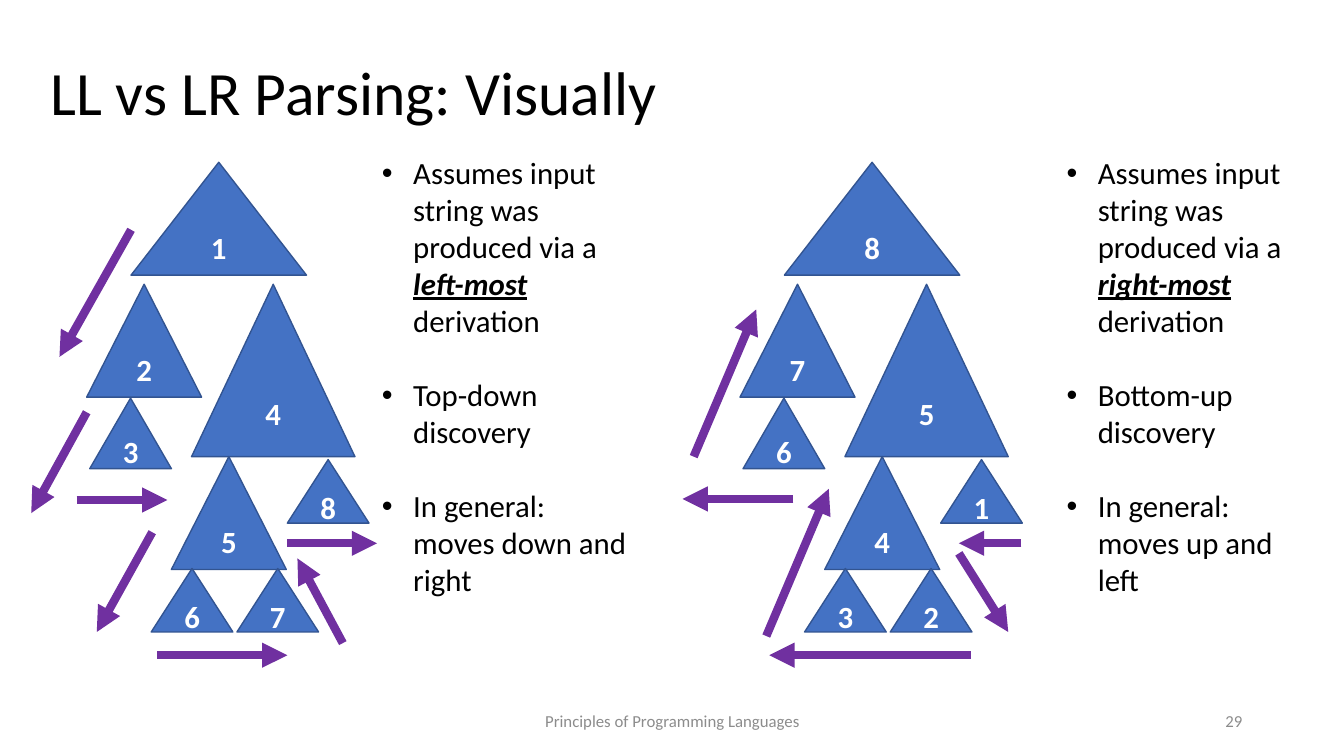
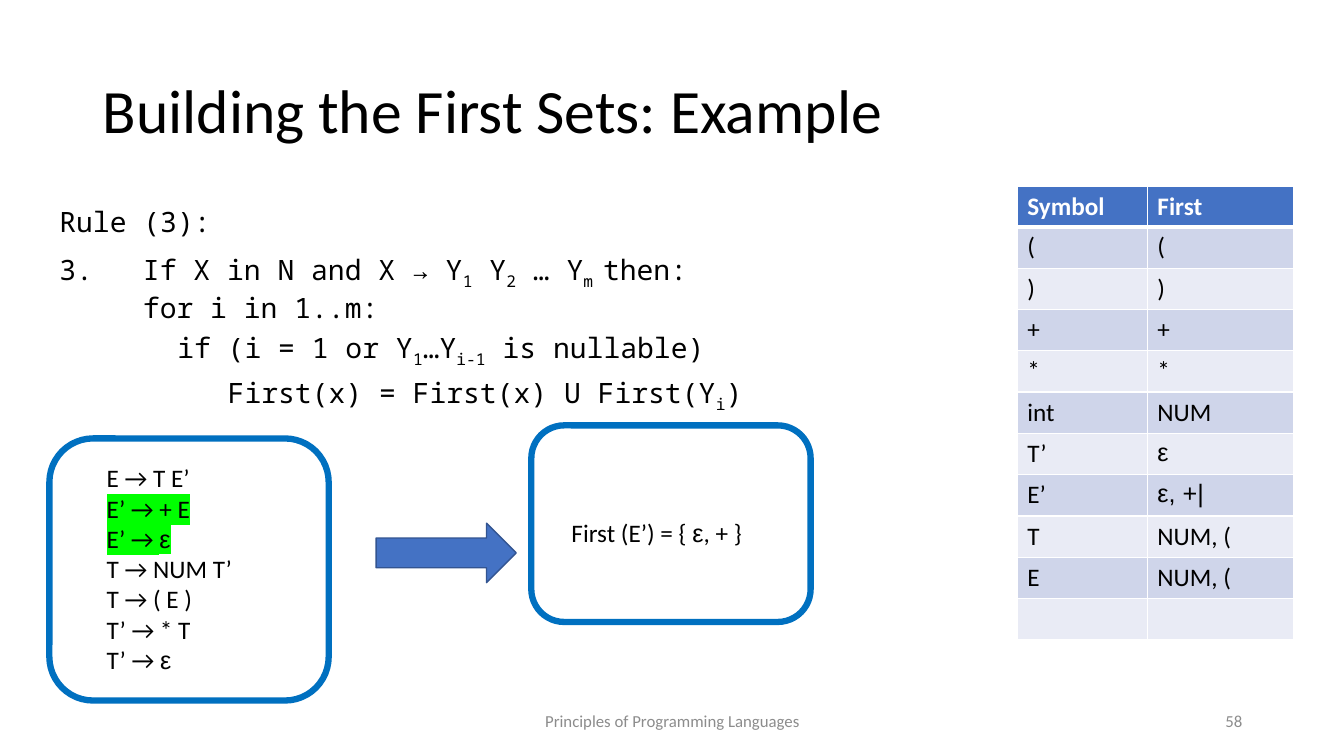
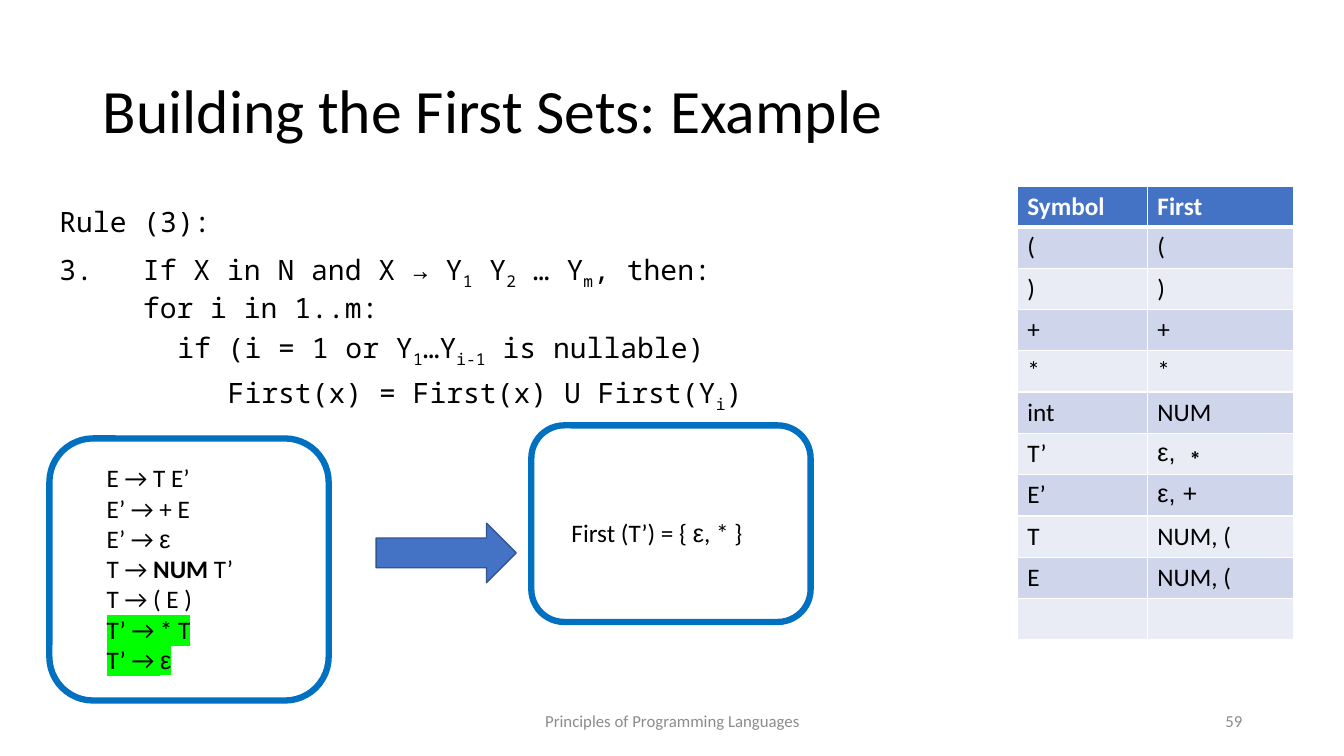
from lxml.etree import SubElement
from pptx import Presentation
from pptx.dml.color import RGBColor
from pptx.enum.shapes import MSO_CONNECTOR, MSO_SHAPE
from pptx.enum.text import MSO_ANCHOR, PP_ALIGN
from pptx.oxml import parse_xml
from pptx.oxml.ns import nsdecls, qn
from pptx.util import Inches, Pt

BLACK, WHITE, GREY = "000000", "FFFFFF", "8C8C8C"
BLUE, DARK_BLUE, FRAME_BLUE = "4472C4", "325491", "0070C0"
PURPLE, GREEN = "7030A0", "00FF00"
BANDS = ("E9EBF5", "CFD5EA")

TITLE = {"name": "Calibri", "size": 44, "color": BLACK}
BULLET = {**TITLE, "size": 22}
NODE = {**BULLET, "color": WHITE, "bold": True}
NORMAL = {**TITLE, "size": 18}
HEADER = {**NORMAL, "color": WHITE, "bold": True}
FOOTER = {**TITLE, "size": 12, "color": GREY}
CODE = {**TITLE, "name": "Noto Sans Mono", "size": 20}
EMPHASIS = {"bold": True, "italic": True, "underline": True}

TREE_BOXES = [
    (1.3, 1.61, 1.74, 1.12), (0.86, 2.82, 1.14, 1.12),
    (0.89, 3.95, 0.81, 0.7), (1.9, 2.82, 1.62, 1.71),
    (1.7, 4.53, 1.14, 1.12), (1.5, 5.64, 0.81, 0.63),
    (2.35, 5.64, 0.81, 0.63), (2.85, 4.56, 0.81, 0.63),
]
TREE_SHIFT = 6.48
LL_ARROWS = [
    (1.3, 2.28, 0.59, 3.54), (0.86, 4.09, 0.31, 5.09),
    (0.76, 4.96, 1.66, 4.96), (1.51, 5.28, 0.96, 6.27),
    (1.56, 6.5, 2.85, 6.5), (3.4, 6.38, 2.95, 5.54),
    (2.85, 5.39, 3.74, 5.39),
]
LR_ARROWS = [
    (10.13, 5.39, 9.51, 5.39), (9.51, 5.49, 10, 6.27),
    (9.63, 6.5, 7.63, 6.5), (7.6, 6.31, 8.22, 4.85),
    (7.87, 4.95, 6.77, 4.95), (6.88, 4.53, 7.5, 3.07),
]
GRAMMAR = ["E → T E’", "E’ → + E", "E’ → ε", "T → NUM T’",
           "T → ( E )", "T’ → * T", "T’ → ε"]


def color(value):
    """Turn a hex string into a colour."""
    return RGBColor.from_string(value)


def add_span(para, text, style):
    """Add a run and set its font from a dict of format values."""
    span = para.add_run()
    span.text = text
    values = dict(style)
    highlight = values.pop("highlight", None)
    baseline = values.pop("baseline", None)
    span.font.color.rgb = color(values.pop("color"))
    values["size"] = Pt(values["size"])
    for name, value in values.items():
        setattr(span.font, name, value)
    properties = span.font._element
    if baseline:
        properties.set("baseline", str(baseline))
    if highlight:
        properties.find(qn("a:solidFill")).addnext(parse_xml(
            f'<a:highlight {nsdecls("a")}><a:srgbClr val="{highlight}"/></a:highlight>'))


def add_para(frame, spans, left=0, first=0, bullet=None, **values):
    """Write a paragraph of (text, style) spans with its indents and bullet."""
    para = frame.paragraphs[0]
    if para.runs:
        para = frame.add_paragraph()
    for name, value in values.items():
        setattr(para, name, value)
    properties = para._p.get_or_add_pPr()
    properties.set("marL", str(Inches(left)))
    properties.set("indent", str(Inches(first)))
    if bullet:
        SubElement(properties, qn("a:buFont")).set("typeface", "Arial")
        SubElement(properties, qn("a:buChar")).set("char", bullet)
    for text, style in spans:
        add_span(para, text, style)


def add_box(slide, place, anchor=MSO_ANCHOR.TOP, wrap=True):
    """Add a text box and return its text frame."""
    frame = slide.shapes.add_textbox(*map(Inches, place)).text_frame
    frame.word_wrap = wrap
    frame.vertical_anchor = anchor
    return frame


def add_figure(slide, kind, place, line, width, fill=None):
    """Add a preset shape with a plain outline and an optional fill."""
    figure = slide.shapes.add_shape(kind, *map(Inches, place))
    figure.shadow.inherit = False
    figure.line.color.rgb = color(line)
    figure.line.width = Pt(width)
    if fill:
        figure.fill.solid()
        figure.fill.fore_color.rgb = color(fill)
    else:
        figure.fill.background()
    return figure


def add_arrow(slide, ends):
    """Add a thick arrow between two points."""
    arrow = slide.shapes.add_connector(MSO_CONNECTOR.STRAIGHT, *map(Inches, ends))
    arrow.line.color.rgb = color(PURPLE)
    arrow.line.width = Pt(6)
    SubElement(arrow.line._get_or_add_ln(), qn("a:tailEnd")).set("type", "triangle")
    SubElement(arrow._element.spPr, qn("a:effectLst"))


def add_page(deck, title, title_place, number):
    """Add a slide with its title, footer and slide number."""
    slide = deck.slides.add_slide(deck.slide_layouts[6])
    parts = [
        (title, title_place, TITLE, PP_ALIGN.LEFT, 0.9),
        ("Principles of Programming Languages", (4.42, 6.95, 4.5, 0.4),
         FOOTER, PP_ALIGN.CENTER, 1.0),
        (str(number), (9.42, 6.95, 3, 0.4), FOOTER, PP_ALIGN.RIGHT, 1.0),
    ]
    for text, place, style, alignment, spacing in parts:
        frame = add_box(slide, place, MSO_ANCHOR.MIDDLE)
        add_para(frame, [(text, style)], alignment=alignment, line_spacing=spacing)
    return slide


def add_tree(slide, shift, labels):
    """Draw the parse tree of triangles with the given visiting order."""
    for (left, *rest), label in zip(TREE_BOXES, labels):
        node = add_figure(slide, MSO_SHAPE.ISOSCELES_TRIANGLE,
                          (left + shift, *rest), DARK_BLUE, 1, BLUE)
        add_para(node.text_frame, [(label, NODE)], alignment=PP_ALIGN.CENTER)


def add_summary(slide, left, side, discovery, moves):
    """Add the bullet list that describes one parsing method."""
    frame = add_box(slide, (left, 1.48, 2.69, 4.54))
    points = [
        [("Assumes input string was produced via a ", BULLET),
         (side, {**BULLET, **EMPHASIS}), (" derivation", BULLET)],
        [(discovery, BULLET)],
        [(f"In general: moves {moves}", BULLET)],
    ]
    for index, spans in enumerate(points):
        add_para(frame, spans, 0.31, -0.31, "•", space_before=Pt(26.5 if index else 0))


def add_rule(slide, condition):
    """Write rule (3), where text between bars is subscript."""
    frame = add_box(slide, (0.49, 2.02, 11.5, 2.33))
    lines = [
        ("Rule (3):", 0, 0, 10),
        (f"3.\t{condition}", 0.83, -0.83, 10),
        ("for i in 1..m:", 0.83, 0, 5),
        ("if (i = 1 or Y|1|…Y|i-1| is nullable)", 1.17, 0, 5),
        ("First(x) = First(x) U First(Y|i|)", 1.67, 0, 7.5),
    ]
    for text, left, first, before in lines:
        spans = [(part, {**CODE, "baseline": -25000 if index % 2 else 0})
                 for index, part in enumerate(text.split("|"))]
        add_para(frame, spans, left, first, line_spacing=0.9, space_before=Pt(before))


def split_spans(text, bold_word, style):
    """Split text into spans, with epsilon in Arial and one word bold."""
    special = {"ε": {"name": "Arial"}, bold_word: {"bold": True}}
    for word, change in special.items():
        if word and word in text:
            before, _, after = text.partition(word)
            pieces = [(before, style), (word, {**style, **change}), (after, style)]
            return [piece for piece in pieces if piece[0]]
    return [(text, style)]


def add_grammar(slide, marked, bold_word):
    """List the grammar in a frame with the marked rules highlighted."""
    add_figure(slide, MSO_SHAPE.ROUNDED_RECTANGLE, (0.49, 4.35, 2.77, 2.6), FRAME_BLUE, 4.5)
    frame = add_box(slide, (0.96, 4.54, 2.15, 2.22))
    for rule in GRAMMAR:
        style = {**NORMAL, "highlight": GREEN} if rule.startswith(marked) else NORMAL
        add_para(frame, split_spans(rule, bold_word, style))


def add_result(slide, text):
    """Point from the grammar to the framed First set."""
    add_figure(slide, MSO_SHAPE.RIGHT_ARROW, (3.73, 5.19, 1.39, 0.59), DARK_BLUE, 1, BLUE)
    add_figure(slide, MSO_SHAPE.ROUNDED_RECTANGLE, (5.27, 4.22, 2.77, 1.95), FRAME_BLUE, 4.5)
    frame = add_box(slide, (5.57, 5.08, 1.93, 0.71), wrap=False)
    add_para(frame, split_spans(text, None, NORMAL))


def set_borders(cell, widths):
    """Draw white cell borders from a dict of side and width."""
    properties = cell._tc.get_or_add_tcPr()
    for index, (side, width) in enumerate(widths.items()):
        properties.insert(index, parse_xml(
            f'<a:ln{side} {nsdecls("a")} w="{Pt(width)}"><a:solidFill>'
            f'<a:srgbClr val="{WHITE}"/></a:solidFill></a:ln{side}>'))


def add_first_table(slide, first_t, first_e):
    """Add the table of symbols and their First sets."""
    rows = [("Symbol", "First"), *((sign, sign) for sign in "()+*"),
            ("int", "NUM"), ("T’", first_t), ("E’", first_e),
            ("T", "NUM, ("), ("E", "NUM, ("), ("", "")]
    place = map(Inches, (10.09, 1.85, 2.74, 4.49))
    table = slide.shapes.add_table(len(rows), 2, *place).table
    for column, width in zip(table.columns, (1.29, 1.45)):
        column.width = Inches(width)
    for row_index, texts in enumerate(rows):
        table.rows[row_index].height = Inches(0.41 if row_index else 0.39)
        for column_index, text in enumerate(texts):
            cell = table.cell(row_index, column_index)
            cell.fill.solid()
            cell.fill.fore_color.rgb = color(BANDS[row_index % 2] if row_index else BLUE)
            set_borders(cell, {"L": 1, "R": 1, "T": 3 if row_index == 1 else 1,
                               "B": 1 if row_index else 3})
            style = NORMAL if row_index else HEADER
            if "ε" in text:
                style = {**style, "name": "Arial"}
            if text:
                add_para(cell.text_frame, [(text, style)])


def add_parsing_page(deck):
    """Compare LL and LR parsing with two trees."""
    slide = add_page(deck, "LL vs LR Parsing: Visually", (0.4, 0.22, 11.5, 1.45), 29)
    add_tree(slide, 0, "12345678")
    add_tree(slide, TREE_SHIFT, "87654321")
    for ends in LL_ARROWS + LR_ARROWS:
        add_arrow(slide, ends)
    add_summary(slide, 3.69, "left-most", "Top-down discovery", "down and right")
    add_summary(slide, 10.48, "right-most", "Bottom-up discovery", "up and left")


def add_first_page(deck, number, condition, marked, bold_word, result, first_t, first_e):
    """Show one step of building the First sets."""
    slide = add_page(deck, "Building the First Sets: Example", (0.92, 0.4, 11.5, 1.45), number)
    add_rule(slide, condition)
    add_grammar(slide, marked, bold_word)
    add_result(slide, result)
    add_first_table(slide, first_t, first_e)


def main():
    """Build and save the deck."""
    deck = Presentation()
    deck.slide_width, deck.slide_height = Inches(13.33), Inches(7.5)
    add_parsing_page(deck)
    condition = "If X in N and X → Y|1| Y|2| … Y"
    add_first_page(deck, 58, condition + "|m |then:", "E’", None,
                   "First (E’) = { ε, + }", "ε", "ε, +|")
    add_first_page(deck, 59, condition + "|m|, then:", "T’", "NUM",
                   "First (T’) = { ε, * }", "ε, ∗", "ε, +")
    deck.save("out.pptx")


if __name__ == "__main__":
    main()
